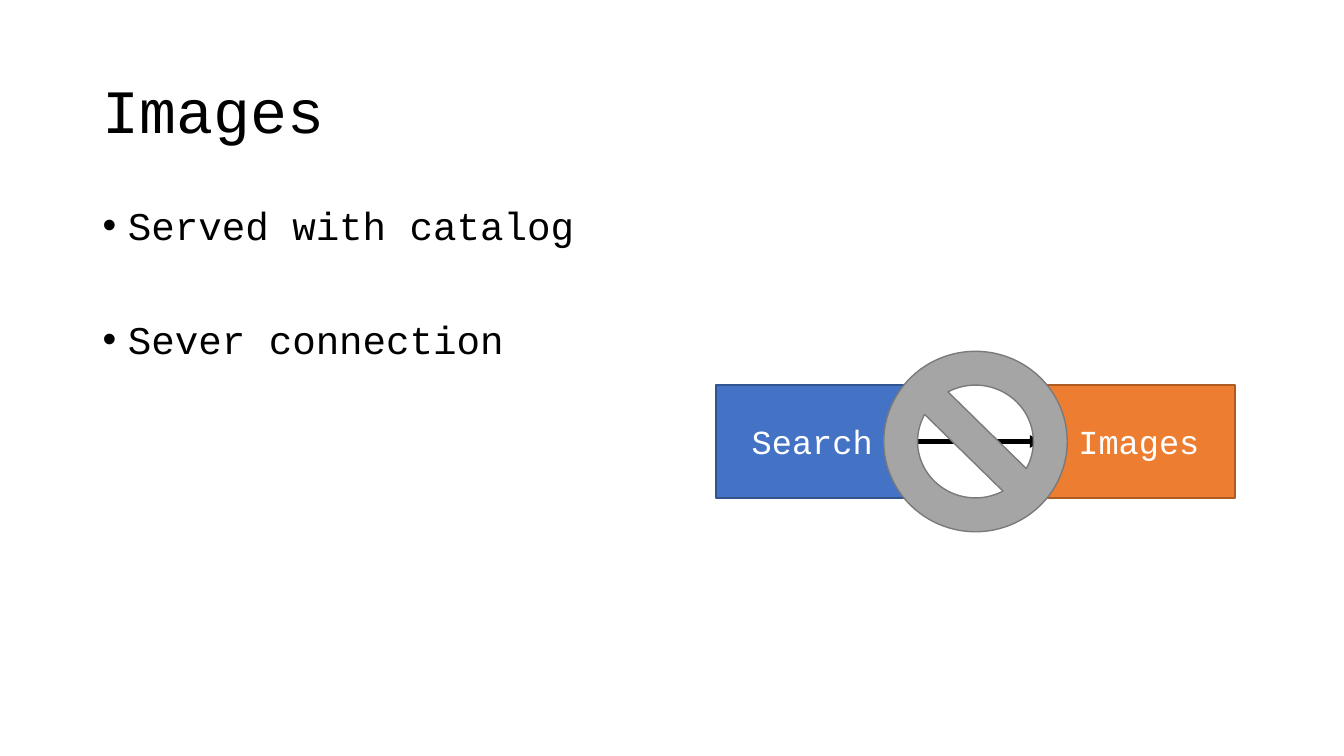
from pptx import Presentation
from pptx.dml.color import RGBColor
from pptx.enum.shapes import MSO_CONNECTOR as Connector, MSO_SHAPE as Preset
from pptx.enum.text import MSO_ANCHOR as Anchor, PP_ALIGN as Align
from pptx.oxml.ns import qn
from pptx.util import Inches, Pt
from lxml.etree import SubElement

FONT = "Courier New"
COLORS = {
    "ink": "000000", "paper": "FFFFFF",
    "search": "4472C4", "search_edge": "325491",
    "images": "ED7D31", "images_edge": "AF5C24",
    "ban": "A5A5A5", "ban_edge": "7A7A7A",
}


def color(name):
    return RGBColor.from_string(COLORS[name])


def add_span(para, text, size, ink="ink"):
    span = para.add_run()
    span.text = text
    span.font.name = FONT
    span.font.size = Pt(size)
    span.font.color.rgb = color(ink)


def add_text_frame(page, box, anchor):
    frame = page.shapes.add_textbox(*map(Inches, box)).text_frame
    frame.word_wrap = True
    frame.vertical_anchor = anchor
    return frame


def add_title(page, box, text):
    para = add_text_frame(page, box, Anchor.MIDDLE).paragraphs[0]
    para.line_spacing = 0.9
    add_span(para, text, 44)


def add_bullets(page, box, items):
    frame = add_text_frame(page, box, Anchor.TOP)
    for index, item in enumerate(items):
        para = frame.add_paragraph() if index else frame.paragraphs[0]
        para.line_spacing = 0.9
        if index:
            para.space_before = Pt(51)
        props = para._p.get_or_add_pPr()
        props.set("marL", str(Inches(0.25)))
        props.set("indent", str(-Inches(0.25)))
        SubElement(props, qn("a:buFont"), typeface="Arial")
        SubElement(props, qn("a:buChar"), char="•")
        add_span(para, item, 28)


def add_filled(page, preset, box, fill):
    shape = page.shapes.add_shape(preset, *map(Inches, box))
    shape.shadow.inherit = False
    shape.fill.solid()
    shape.fill.fore_color.rgb = color(fill)
    shape.line.color.rgb = color(fill + "_edge")
    shape.line.width = Pt(1)
    return shape


def add_arrow(page, start, end, y):
    arrow = page.shapes.add_connector(
        Connector.STRAIGHT, Inches(start), Inches(y), Inches(end), Inches(y))
    arrow.line.color.rgb = color("ink")
    arrow.line.width = Pt(3)
    SubElement(arrow.line._get_or_add_ln(), qn("a:tailEnd"), type="triangle")
    SubElement(arrow._element.spPr, qn("a:effectLst"))


def add_severed_link(page, box):
    left, top, width, height = box
    node_width, ban_width, ban_height = 1.91, 1.82, 1.79
    right = left + width - node_width
    middle = top + height / 2
    for x, label, fill in ((left, "Search", "search"), (right, "Images", "images")):
        node = add_filled(page, Preset.RECTANGLE, (x, top, node_width, height), fill)
        node.text_frame.vertical_anchor = Anchor.MIDDLE
        para = node.text_frame.paragraphs[0]
        para.alignment = Align.CENTER
        add_span(para, label, 24, "paper")
    add_arrow(page, left + node_width, right, middle)
    ban_box = (left + (width - ban_width) / 2, middle - ban_height / 2, ban_width, ban_height)
    add_filled(page, Preset.NO_SYMBOL, ban_box, "ban")


def main():
    deck = Presentation()
    deck.slide_width, deck.slide_height = Inches(13.33), Inches(7.5)
    page = deck.slides.add_slide(deck.slide_layouts[6])
    add_title(page, (0.92, 0.4, 11.5, 1.45), "Images")
    add_bullets(page, (0.92, 2, 5.67, 4.76), ("Served with catalog", "Sever connection"))
    add_severed_link(page, (7.1, 3.82, 5.15, 1.12))
    deck.save("out.pptx")


if __name__ == "__main__":
    main()
